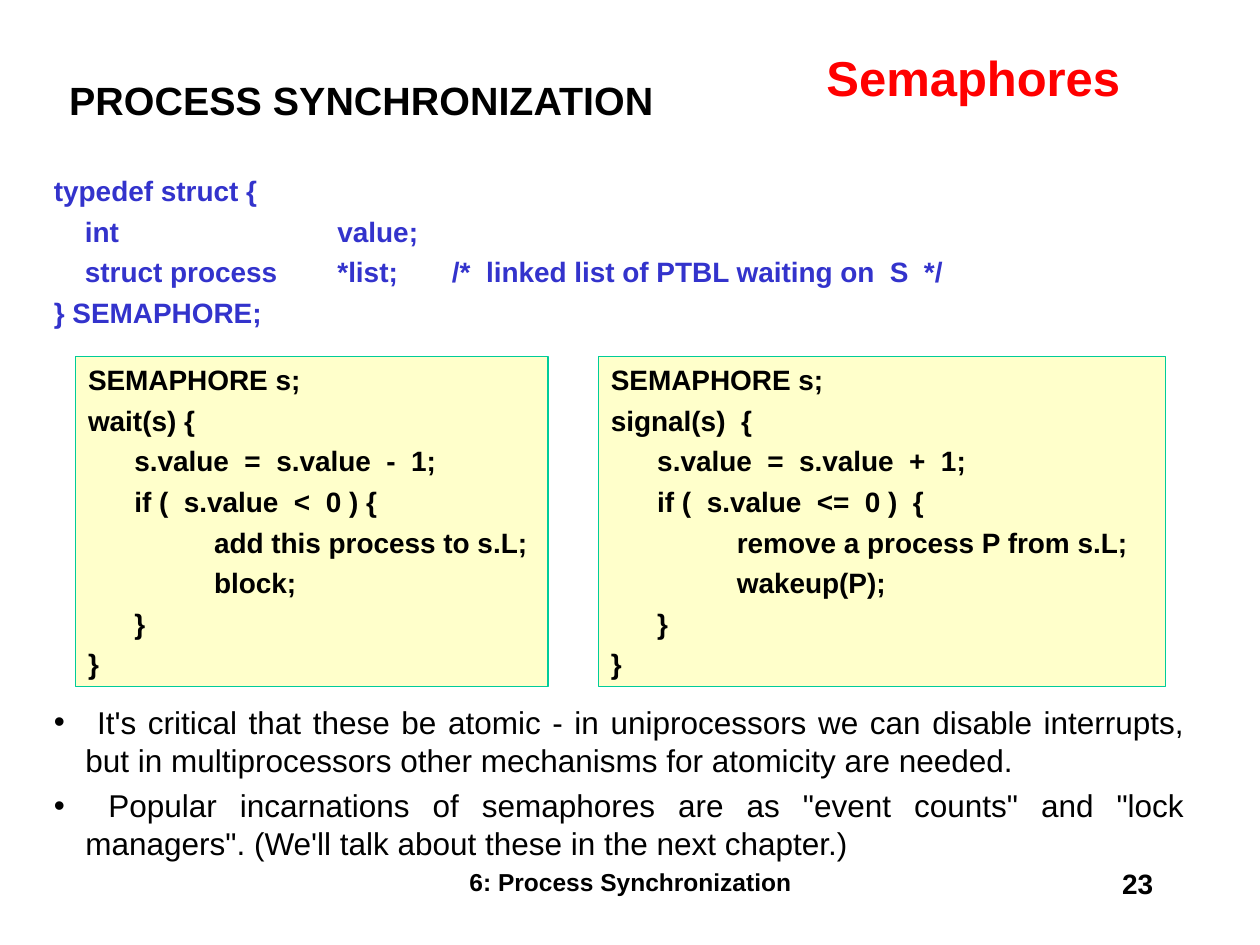
from dataclasses import dataclass

from lxml.etree import SubElement
from pptx import Presentation
from pptx.dml.color import RGBColor
from pptx.enum.shapes import MSO_SHAPE
from pptx.enum.text import MSO_ANCHOR, PP_ALIGN
from pptx.oxml.ns import qn
from pptx.util import Inches, Pt


@dataclass(frozen=True)
class Theme:
    font: str = "Arial"
    black: str = "000000"
    blue: str = "3333CC"
    red: str = "FF0000"
    panel_fill: str = "FFFF99"
    panel_line: str = "00CC99"
    panel_opacity: int = 50
    heading: float = 22.5
    topic: float = 28
    body: float = 18
    code: float = 16
    footer: float = 14
    spacing: float = 0.25  # space before, as a share of the type size


THEME = Theme()

# Content
HEADING = "PROCESS SYNCHRONIZATION"
TOPIC = "Semaphores"
FOOTER = "6: Process Synchronization"
NUMBER = "23"
STRUCT = [
    "typedef struct {",
    "    int\t\tvalue;",
    "    struct process\t*list;       /*  linked list of PTBL waiting on  S  */",
    "} SEMAPHORE;",
]
WAIT = [
    "SEMAPHORE s;",
    "wait(s) {",
    "      s.value  =  s.value  -  1;",
    "      if (  s.value  <  0 ) {",
    "\tadd this process to s.L;",
    "\tblock;",
    "      }",
    "}",
]
SIGNAL = [
    "SEMAPHORE s;",
    "signal(s)  {",
    "      s.value  =  s.value  +  1;",
    "      if (  s.value  <=  0 )  {",
    "\tremove a process P from s.L;",
    "\twakeup(P);",
    "      }",
    "}",
]
BULLETS = [
    " It's critical that these be atomic - in uniprocessors we can disable "
    "interrupts, but in multiprocessors other mechanisms for atomicity are needed.",
    " Popular incarnations of semaphores are as \"event counts\" and \"lock "
    "managers\". (We'll talk about these in the next chapter.)",
]

# Layout in inches: left, top, width, height
HEADING_BOX = (0.33, 0.33, 5.08, 0.92)
TOPIC_BOX = (6.46, 0.33, 2.53, 0.57)
STRUCT_BOX = (0.33, 1.33, 9.17, 1.4)
BULLET_BOX = (0.33, 5.53, 9.17, 1.3)
FOOTER_BOX = (3.42, 6.83, 3.17, 0.5)
NUMBER_BOX = (7.17, 6.83, 2.08, 0.5)
PANEL_TOP, PANEL_HEIGHT = 2.83, 2.62
PANELS = [(0.6, 3.75, WAIT), (4.75, 4.5, SIGNAL)]  # left, width, code
STRUCT_TABS = (1.25, 2.25)
PANEL_TABS = (1,)
HANGING = 0.25


def add_tabs(paragraph, stops):
    tab_list = SubElement(paragraph._p.get_or_add_pPr(), qn("a:tabLst"))
    for stop in stops:
        SubElement(tab_list, qn("a:tab"), pos=str(Inches(stop)), algn="l")


def add_bullet(paragraph):
    properties = paragraph._p.get_or_add_pPr()
    properties.set("marL", str(Inches(HANGING)))
    properties.set("indent", str(-Inches(HANGING)))
    SubElement(properties, qn("a:buFont"), typeface=THEME.font)
    SubElement(properties, qn("a:buChar"), char="•")


def write(shape, lines, size, color=THEME.black, bold=True,
          align=PP_ALIGN.LEFT, anchor=MSO_ANCHOR.TOP, tabs=(), bullets=False):
    frame = shape.text_frame
    frame.word_wrap = True
    frame.vertical_anchor = anchor
    for index, line in enumerate(lines):
        paragraph = frame.add_paragraph() if index else frame.paragraphs[0]
        if bullets:
            add_bullet(paragraph)
        if tabs:
            add_tabs(paragraph, tabs)
        paragraph.alignment = align
        if index:
            paragraph.space_before = Pt(size * THEME.spacing)
        run = paragraph.add_run()
        run.text = line
        run.font.name = THEME.font
        run.font.size = Pt(size)
        run.font.bold = bold
        run.font.color.rgb = RGBColor.from_string(color)


def add_text(slide, box, lines, size, **style):
    write(slide.shapes.add_textbox(*map(Inches, box)), lines, size, **style)


def add_panel(slide, box, lines):
    panel = slide.shapes.add_shape(MSO_SHAPE.RECTANGLE, *map(Inches, box))
    panel.shadow.inherit = False
    panel.fill.solid()
    panel.fill.fore_color.rgb = RGBColor.from_string(THEME.panel_fill)
    color = panel.fill._xPr.find(qn("a:solidFill"))[0]
    SubElement(color, qn("a:alpha"), val=str(THEME.panel_opacity * 1000))
    panel.line.color.rgb = RGBColor.from_string(THEME.panel_line)
    panel.line.width = Pt(0.75)
    write(panel, lines, THEME.code, tabs=PANEL_TABS)


def main():
    presentation = Presentation()
    presentation.slide_width = Inches(10)
    presentation.slide_height = Inches(7.5)
    slide = presentation.slides.add_slide(presentation.slide_layouts[6])

    # Headings
    add_text(slide, HEADING_BOX, [HEADING], THEME.heading,
             align=PP_ALIGN.CENTER, anchor=MSO_ANCHOR.MIDDLE)
    add_text(slide, TOPIC_BOX, [TOPIC], THEME.topic, color=THEME.red,
             align=PP_ALIGN.CENTER)

    # Type definition and the two operations
    add_text(slide, STRUCT_BOX, STRUCT, THEME.code, color=THEME.blue,
             tabs=STRUCT_TABS)
    for left, width, code in PANELS:
        add_panel(slide, (left, PANEL_TOP, width, PANEL_HEIGHT), code)

    # Remarks
    add_text(slide, BULLET_BOX, BULLETS, THEME.body, bold=False,
             align=PP_ALIGN.JUSTIFY, bullets=True)

    # Footer and slide number
    add_text(slide, FOOTER_BOX, [FOOTER], THEME.footer, align=PP_ALIGN.CENTER)
    add_text(slide, NUMBER_BOX, [NUMBER], THEME.code, align=PP_ALIGN.RIGHT)

    presentation.save("out.pptx")


if __name__ == "__main__":
    main()
